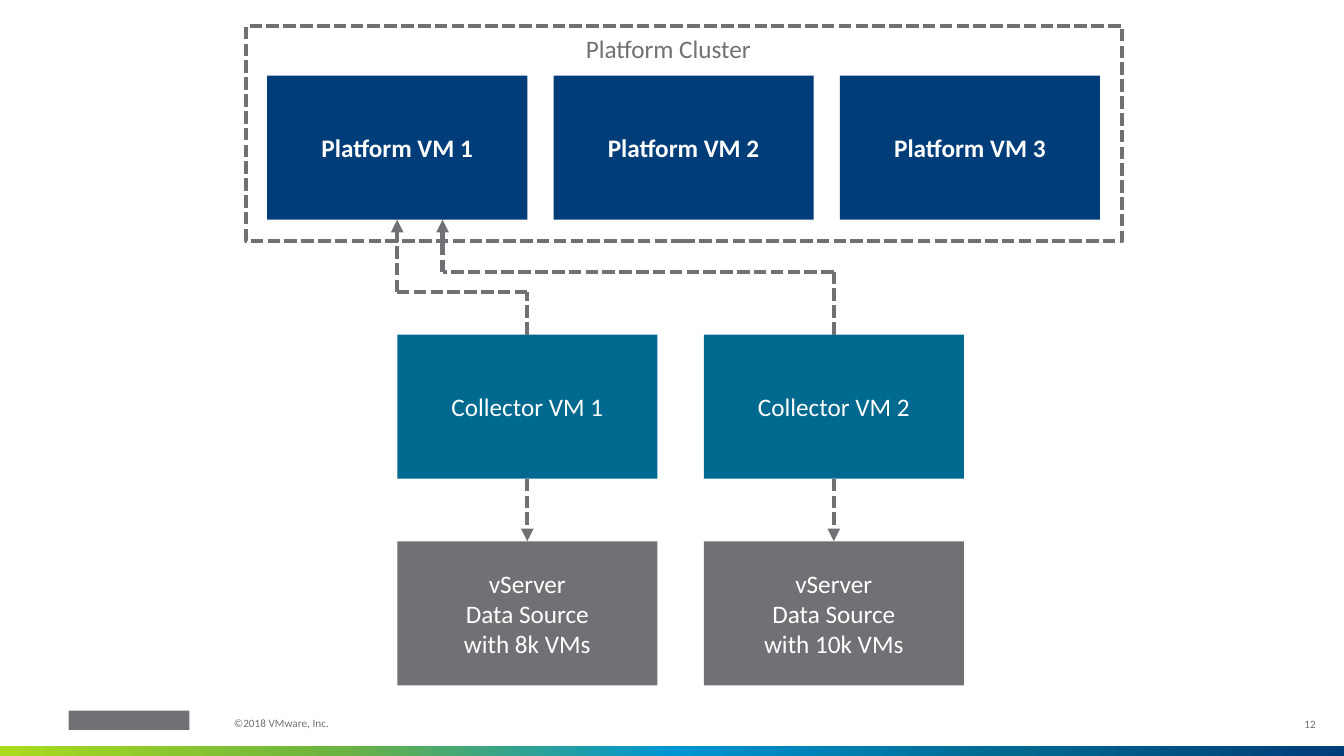
import copy
from dataclasses import dataclass

import pptx
import pptx.dml.color
import pptx.enum.dml
import pptx.enum.shapes
import pptx.enum.text
import pptx.oxml
import pptx.oxml.ns
import pptx.util
from pptx.dml.color import RGBColor
from pptx.util import Inches, Pt

WHITE = RGBColor(0xFF, 0xFF, 0xFF)
GRAY = RGBColor(0x71, 0x70, 0x74)
NAVY = RGBColor(0x00, 0x3D, 0x79)
TEAL = RGBColor(0x00, 0x69, 0x90)
BLUE = RGBColor(0x00, 0x95, 0xD3)
GREEN = RGBColor(0x6D, 0xB3, 0x3F)
LIME = RGBColor(0xAA, 0xDB, 0x1E)
STRIPE_COLORS = [LIME, GREEN, BLUE, TEAL, NAVY]

BOX_WIDTH, BOX_HEIGHT = 2.58, 1.43
TOP, BOTTOM = 0, 2
ALIGN = pptx.enum.text.PP_ALIGN
ANCHOR = pptx.enum.text.MSO_ANCHOR
RECTANGLE = pptx.enum.shapes.MSO_SHAPE.RECTANGLE


@dataclass(frozen=True)
class BoxRow:
    left: float
    top: float
    pitch: float
    color: RGBColor
    labels: tuple[str, ...]
    bold: bool = False


@dataclass(frozen=True)
class Label:
    text: str
    left: float
    top: float
    width: float
    height: float
    size: int
    align: ALIGN = ALIGN.LEFT
    anchor: ANCHOR = ANCHOR.TOP
    wrap: bool = True
    line_spacing: float = 1.0


@dataclass(frozen=True)
class Route:
    collector: int
    arrow_x: float
    turn_y: float


PLATFORMS = BoxRow(2.65, 0.75, 2.84, NAVY,
                   ("Platform VM 1", "Platform VM 2", "Platform VM 3"), True)
COLLECTORS = BoxRow(3.94, 3.32, 3.04, TEAL, ("Collector VM 1", "Collector VM 2"))
SOURCES = BoxRow(3.94, 5.37, 3.04, GRAY,
                 ("vServer\nData Source\nwith 8k VMs",
                  "vServer\nData Source\nwith 10k VMs"))
LABELS = [
    Label("12", 12.57, 6.99, 0.48, 0.4, 8, ALIGN.RIGHT, ANCHOR.MIDDLE, line_spacing=0.9),
    Label("©2018 VMware, Inc.", 2.32, 7.12, 2.15, 0.16, 8, line_spacing=0.9),
    Label("Platform Cluster", 5.81, 0.33, 1.95, 0.3, 18, wrap=False),
]
ROUTES = [Route(0, 3.94, 2.9), Route(1, 4.39, 2.7)]


def apply(target, formats: dict) -> None:
    for name, value in formats.items():
        setattr(target, name, value)


def add_rectangle(slide, left: float, top: float, width: float, height: float,
                  color: RGBColor):
    shape = slide.shapes.add_shape(
        RECTANGLE, Inches(left), Inches(top), Inches(width), Inches(height))
    shape.shadow.inherit = False
    shape.fill.solid()
    shape.fill.fore_color.rgb = color
    shape.line.fill.background()
    return shape


def write(shape, text: str, size: int, color: RGBColor, bold: bool,
          paragraph_formats: dict) -> None:
    paragraph = shape.text_frame.paragraphs[0]
    paragraph.text = text
    apply(paragraph, paragraph_formats)
    apply(paragraph.font, {"name": "Calibri", "size": Pt(size), "bold": bold})
    paragraph.font.color.rgb = color
    for run in paragraph.runs:
        apply(run.font, {"name": "Calibri", "size": Pt(size), "bold": bold})
        run.font.color.rgb = color


def add_box_row(slide, row: BoxRow) -> list:
    boxes = []
    for index, label in enumerate(row.labels):
        box = add_rectangle(slide, row.left + index * row.pitch, row.top,
                            BOX_WIDTH, BOX_HEIGHT, row.color)
        apply(box.text_frame, {"word_wrap": True, "vertical_anchor": ANCHOR.MIDDLE})
        write(box, label, 18, WHITE, row.bold,
              {"alignment": ALIGN.CENTER, "space_after": Pt(6)})
        boxes.append(box)
    return boxes


def add_label(slide, label: Label) -> None:
    box = slide.shapes.add_textbox(Inches(label.left), Inches(label.top),
                                   Inches(label.width), Inches(label.height))
    apply(box.text_frame, {
        "margin_left": 0, "margin_right": 0, "margin_top": 0, "margin_bottom": 0,
        "word_wrap": label.wrap, "vertical_anchor": label.anchor})
    write(box, label.text, label.size, GRAY, False,
          {"alignment": label.align, "line_spacing": label.line_spacing})


def dash(line) -> None:
    line.color.rgb = GRAY
    apply(line, {"width": Pt(3), "dash_style": pptx.enum.dml.MSO_LINE.SQUARE_DOT})


def add_dashed_line(slide, start: tuple, end: tuple, arrow: bool = False):
    connector = slide.shapes.add_connector(
        pptx.enum.shapes.MSO_CONNECTOR.STRAIGHT, *start, *end)
    dash(connector.line)
    properties = connector.element.spPr
    if arrow:
        tail = pptx.oxml.parse_xml(
            f'<a:tailEnd {pptx.oxml.ns.nsdecls("a")} type="triangle"/>')
        connector.line._get_or_add_ln().append(tail)
    properties.append(pptx.oxml.parse_xml(
        f'<a:effectLst {pptx.oxml.ns.nsdecls("a")}/>'))
    return connector


def add_route(slide, route: Route, collectors: list, platform) -> None:
    collector = collectors[route.collector]
    start = (collector.left + collector.width // 2, collector.top)
    corner = (start[0], Inches(route.turn_y))
    turn = (Inches(route.arrow_x), Inches(route.turn_y))
    end = (turn[0], platform.top + platform.height)
    add_dashed_line(slide, start, corner).begin_connect(collector, TOP)
    add_dashed_line(slide, corner, turn)
    arrow = add_dashed_line(slide, turn, end, arrow=True)
    if end[0] == platform.left + platform.width // 2:
        arrow.end_connect(platform, BOTTOM)


def add_stripe(slide) -> None:
    stripe = add_rectangle(slide, 0, 7.4, 13.33, 0.1, NAVY)
    stripe.fill.gradient()
    stripe.fill.gradient_angle = 0
    stop_list = stripe.element.spPr.find(".//" + pptx.oxml.ns.qn("a:gsLst"))
    while len(stop_list) < len(STRIPE_COLORS):
        stop_list.append(copy.deepcopy(stop_list[0]))
    for index, (stop, color) in enumerate(zip(stripe.fill.gradient_stops, STRIPE_COLORS)):
        stop.color.rgb = color
        stop.position = index / (len(STRIPE_COLORS) - 1)


def main() -> None:
    presentation = pptx.Presentation()
    apply(presentation, {"slide_width": Inches(13.33), "slide_height": Inches(7.5)})
    slide = presentation.slides.add_slide(presentation.slide_layouts[6])
    add_stripe(slide)
    add_rectangle(slide, 0.68, 7.05, 1.2, 0.19, GRAY)
    cluster = add_rectangle(slide, 2.44, 0.26, 8.69, 2.13, WHITE)
    dash(cluster.line)
    platforms = add_box_row(slide, PLATFORMS)
    collectors = add_box_row(slide, COLLECTORS)
    sources = add_box_row(slide, SOURCES)
    for label in LABELS:
        add_label(slide, label)
    for route in ROUTES:
        add_route(slide, route, collectors, platforms[0])
    for collector, source in zip(collectors, sources):
        arrow = add_dashed_line(slide, (0, 0), (0, 0), arrow=True)
        arrow.begin_connect(collector, BOTTOM)
        arrow.end_connect(source, TOP)
    presentation.save("out.pptx")


if __name__ == "__main__":
    main()
